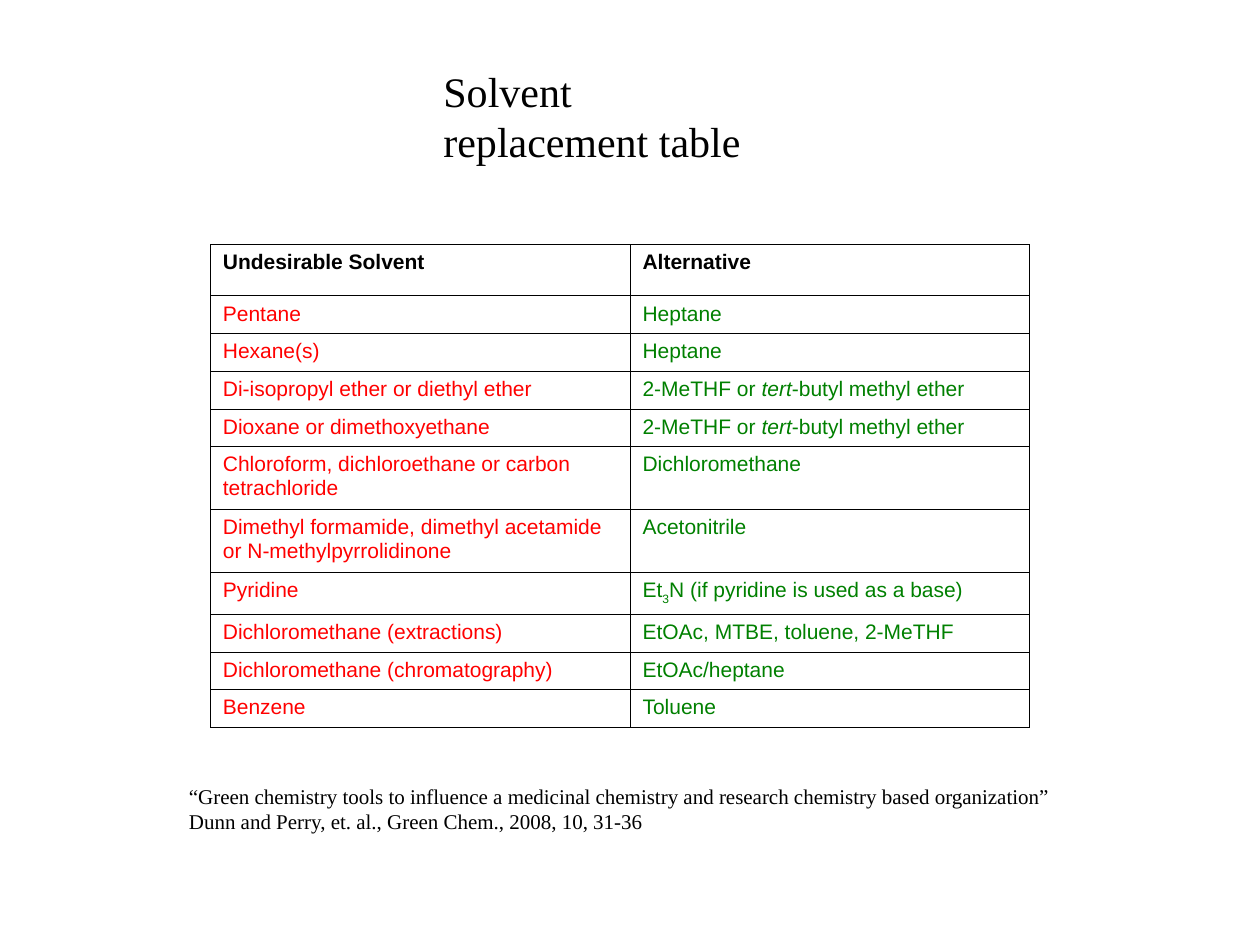
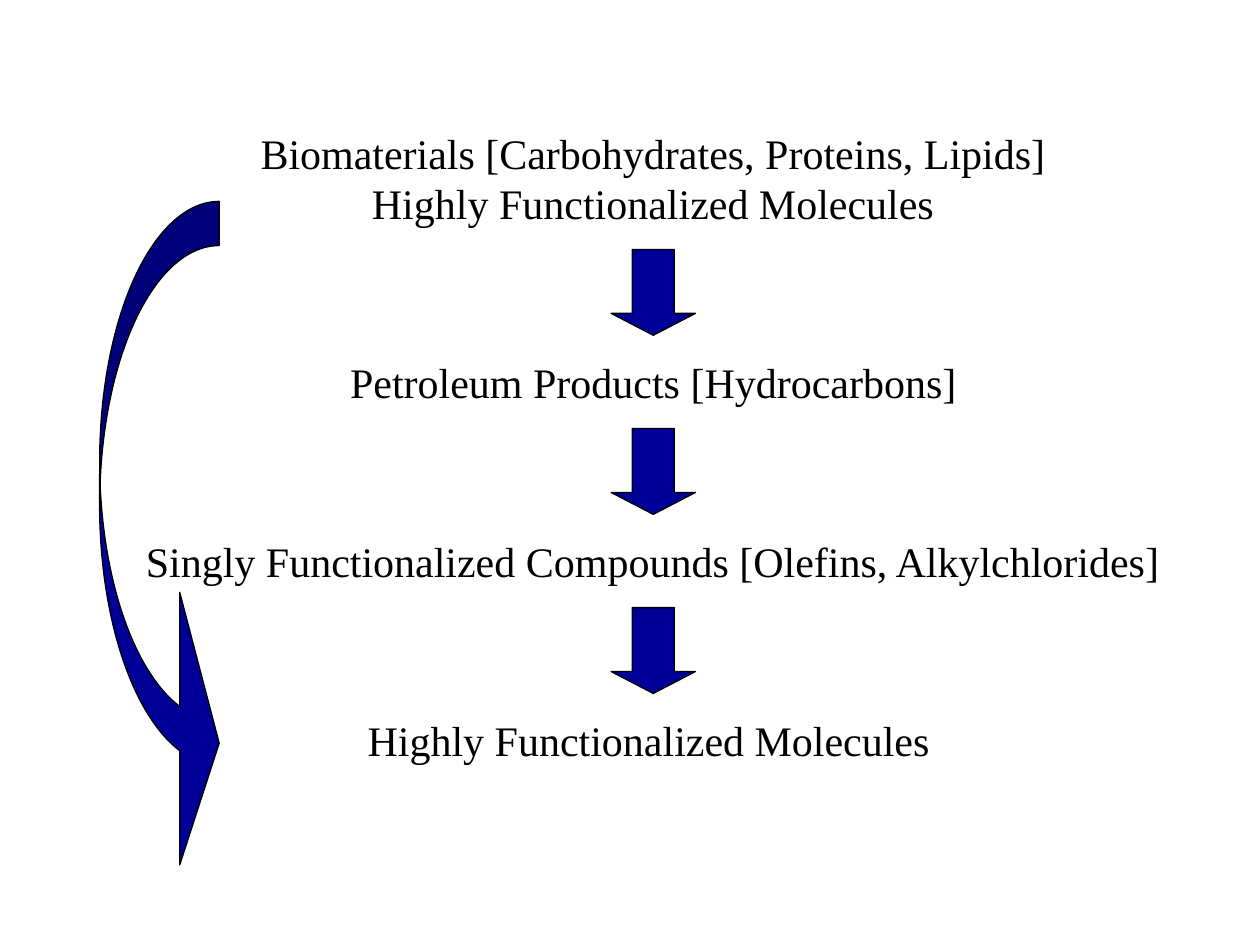
from dataclasses import dataclass

from lxml.etree import SubElement
from pptx import Presentation
from pptx.dml.color import RGBColor
from pptx.enum.shapes import MSO_SHAPE
from pptx.enum.text import MSO_AUTO_SIZE, PP_ALIGN
from pptx.oxml.ns import qn
from pptx.slide import Slide
from pptx.table import _Cell
from pptx.util import Cm, Pt

BLACK, WHITE, RED, GREEN, NAVY = "000000", "FFFFFF", "FF0000", "008000", "000099"
SERIF, SANS = "Times New Roman", "Arial"


@dataclass(frozen=True)
class Style:
    """Font settings shared by the runs of a text."""

    font: str
    size: int
    color: str = BLACK
    bold: bool = False


@dataclass(frozen=True)
class Run:
    """A piece of text with its own slant and baseline."""

    text: str
    italic: bool = False
    subscript: bool = False


@dataclass(frozen=True)
class Box:
    """Position and size in centimetres."""

    left: float
    top: float
    width: float
    height: float

    def lengths(self) -> tuple:
        """Return the four values as lengths."""
        return Cm(self.left), Cm(self.top), Cm(self.width), Cm(self.height)


@dataclass(frozen=True)
class Replacement:
    """An undesirable solvent, its alternative and the row height."""

    solvent: str
    alternative: tuple[Run, ...]
    height: float = 0.76


@dataclass(frozen=True)
class Stage:
    """A later production stage, reached by a down arrow."""

    text: str
    left: float
    width: float


LARGE = Style(SERIF, 24)
SMALL = Style(SERIF, 12)
HEADER = Style(SANS, 12, bold=True)
UNDESIRABLE = Style(SANS, 12, RED)
ALTERNATIVE = Style(SANS, 12, GREEN)

ETHERS = (Run("2-MeTHF or "), Run("tert", italic=True), Run("-butyl methyl ether"))
TRIETHYLAMINE = (Run("Et"), Run("3", subscript=True), Run("N (if pyridine is used as a base)"))
HEADINGS = ("Undesirable Solvent", "Alternative")
HEADER_HEIGHT = 1.03
COLUMN_WIDTHS = (8.46, 8.05)
REPLACEMENTS = (
    Replacement("Pentane", (Run("Heptane"),)),
    Replacement("Hexane(s)", (Run("Heptane"),)),
    Replacement("Di-isopropyl ether or diethyl ether", ETHERS),
    Replacement("Dioxane or dimethoxyethane", ETHERS),
    Replacement("Chloroform, dichloroethane or carbon tetrachloride", (Run("Dichloromethane"),), 1.27),
    Replacement("Dimethyl formamide, dimethyl acetamide or N-methylpyrrolidinone", (Run("Acetonitrile"),), 1.27),
    Replacement("Pyridine", TRIETHYLAMINE, 0.84),
    Replacement("Dichloromethane (extractions)", (Run("EtOAc, MTBE, toluene, 2-MeTHF"),)),
    Replacement("Dichloromethane (chromatography)", (Run("EtOAc/heptane"),)),
    Replacement("Benzene", (Run("Toluene"),)),
)

STAGES = (
    Stage("Petroleum Products [Hydrocarbons]", 6.81, 12.75),
    Stage("Singly Functionalized Compounds [Olefins, Alkylchlorides]", 2.69, 21.0),
    Stage("Highly Functionalized Molecules", 7.16, 12.06),
)
STAGE_STEP, FIRST_ARROW_TOP, FIRST_STAGE_TOP = 3.61, 5.03, 7.06


def rgb(color: str) -> RGBColor:
    """Turn a hex string into a colour."""
    return RGBColor.from_string(color)


def add_run(paragraph, piece: Run, style: Style) -> None:
    """Append one styled run to a paragraph."""
    run = paragraph.add_run()
    run.text = piece.text
    run.font.name = style.font
    run.font.size = Pt(style.size)
    run.font.bold = style.bold
    run.font.italic = piece.italic
    run.font.color.rgb = rgb(style.color)
    if piece.subscript:
        run._r.get_or_add_rPr().set("baseline", "-25000")


def add_text(slide: Slide, box: Box, lines: tuple[str, ...], style: Style,
             alignment: PP_ALIGN = PP_ALIGN.LEFT, wrap: bool = False) -> None:
    """Add a growing text box with one paragraph per line."""
    frame = slide.shapes.add_textbox(*box.lengths()).text_frame
    frame.word_wrap = wrap
    frame.auto_size = MSO_AUTO_SIZE.SHAPE_TO_FIT_TEXT
    for index, line in enumerate(lines):
        paragraph = frame.add_paragraph() if index else frame.paragraphs[0]
        paragraph.alignment = alignment
        add_run(paragraph, Run(line), style)


def add_arrow(slide: Slide, kind: MSO_SHAPE, box: Box, adjustments: tuple[float, ...]) -> None:
    """Add a navy block arrow with a thin black outline."""
    shape = slide.shapes.add_shape(kind, *box.lengths())
    for index, value in enumerate(adjustments):
        shape.adjustments[index] = value
    shape.shadow.inherit = False
    shape.fill.solid()
    shape.fill.fore_color.rgb = rgb(NAVY)
    shape.line.color.rgb = rgb(BLACK)
    shape.line.width = Pt(0.75)


def fill_cell(cell: _Cell, runs: tuple[Run, ...], style: Style) -> None:
    """Write a white table cell with thin black borders."""
    properties = cell._tc.get_or_add_tcPr()
    for side in ("a:lnL", "a:lnR", "a:lnT", "a:lnB"):
        border = SubElement(properties, qn(side), w=str(Pt(0.25)))
        SubElement(SubElement(border, qn("a:solidFill")), qn("a:srgbClr"), val=BLACK)
    cell.fill.solid()
    cell.fill.fore_color.rgb = rgb(WHITE)
    for run in runs:
        add_run(cell.text_frame.paragraphs[0], run, style)


def add_solvent_table(slide: Slide) -> None:
    """Add the table of solvents and their alternatives."""
    heights = (HEADER_HEIGHT, *(item.height for item in REPLACEMENTS))
    box = Box(4.24, 4.93, sum(COLUMN_WIDTHS), sum(heights))
    table = slide.shapes.add_table(len(heights), len(COLUMN_WIDTHS), *box.lengths()).table
    table.first_row = table.horz_banding = False
    for column, width in zip(table.columns, COLUMN_WIDTHS):
        column.width = Cm(width)
    for row, height in zip(table.rows, heights):
        row.height = Cm(height)
    for index, heading in enumerate(HEADINGS):
        fill_cell(table.cell(0, index), (Run(heading),), HEADER)
    for index, item in enumerate(REPLACEMENTS, start=1):
        fill_cell(table.cell(index, 0), (Run(item.solvent),), UNDESIRABLE)
        fill_cell(table.cell(index, 1), item.alternative, ALTERNATIVE)


def build_solvent_slide(slide: Slide) -> None:
    """Draw the solvent replacement slide."""
    add_solvent_table(slide)
    add_text(slide, Box(8.69, 1.19, 7.34, 2.29), ("Solvent replacement table",), LARGE, wrap=True)
    citation = (
        "“Green chemistry tools to influence a medicinal chemistry and research chemistry based organization”",
        "Dunn and Perry, et. al., Green Chem., 2008, 10, 31-36",
    )
    add_text(slide, Box(3.56, 15.67, 18.26, 1.3), citation, SMALL)


def build_stages_slide(slide: Slide) -> None:
    """Draw the route from biomaterials to functionalized molecules."""
    source = ("Biomaterials [Carbohydrates, Proteins, Lipids]", "Highly Functionalized Molecules")
    add_text(slide, Box(5.0, 2.44, 16.33, 2.29), source, LARGE, PP_ALIGN.CENTER)
    for index, stage in enumerate(STAGES):
        offset = index * STAGE_STEP
        add_text(slide, Box(stage.left, FIRST_STAGE_TOP + offset, stage.width, 1.27), (stage.text,), LARGE)
        add_arrow(slide, MSO_SHAPE.DOWN_ARROW, Box(12.32, FIRST_ARROW_TOP + offset, 1.7, 1.73), (0.5, 0.26))
    add_arrow(slide, MSO_SHAPE.CURVED_RIGHT_ARROW, Box(2.01, 4.06, 2.41, 13.67), (0.37, 2.28, 0.33))


def main() -> None:
    """Build and save the presentation."""
    presentation = Presentation()
    presentation.slide_width, presentation.slide_height = Cm(25.4), Cm(19.05)
    for build in (build_solvent_slide, build_stages_slide):
        build(presentation.slides.add_slide(presentation.slide_layouts[6]))
    presentation.save("out.pptx")


if __name__ == "__main__":
    main()
